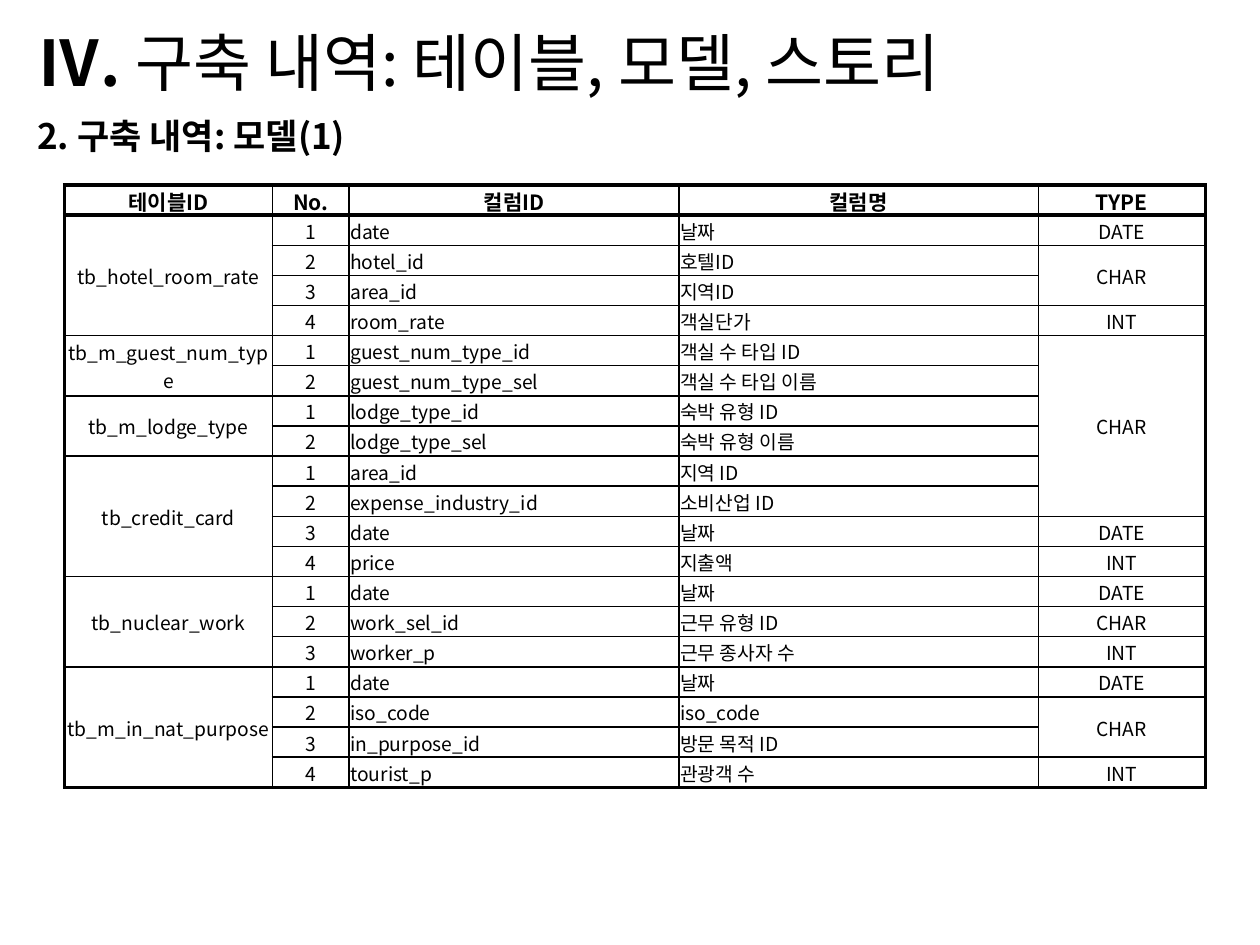
from itertools import groupby

from lxml import etree
from pptx import Presentation
from pptx.dml.color import RGBColor
from pptx.enum.text import MSO_ANCHOR, PP_ALIGN
from pptx.oxml.ns import qn
from pptx.util import Cm, Pt

LEFT, CENTER = PP_ALIGN.LEFT, PP_ALIGN.CENTER
MIDDLE = MSO_ANCHOR.MIDDLE
FONT = "Noto Sans CJK KR"
COLORS = {"ink": "000000", "paper": "FFFFFF"}
THIN, THICK = 1, 2.25

HEADERS = ["테이블ID", "No.", "컬럼ID", "컬럼명", "TYPE"]
COLUMN_WIDTHS = [4.19, 1.55, 6.65, 7.24, 3.37]
ALIGNMENTS = [CENTER, CENTER, LEFT, LEFT, CENTER]
MODELS = {
    "tb_hotel_room_rate": [
        ("date", "날짜", "DATE"),
        ("hotel_id", "호텔ID", "CHAR"),
        ("area_id", "지역ID", "CHAR"),
        ("room_rate", "객실단가", "INT"),
    ],
    "tb_m_guest_num_type": [
        ("guest_num_type_id", "객실 수 타입 ID", "CHAR"),
        ("guest_num_type_sel", "객실 수 타입 이름", "CHAR"),
    ],
    "tb_m_lodge_type": [
        ("lodge_type_id", "숙박 유형 ID", "CHAR"),
        ("lodge_type_sel", "숙박 유형 이름", "CHAR"),
    ],
    "tb_credit_card": [
        ("area_id", "지역 ID", "CHAR"),
        ("expense_industry_id", "소비산업 ID", "CHAR"),
        ("date", "날짜", "DATE"),
        ("price", "지출액", "INT"),
    ],
    "tb_nuclear_work": [
        ("date", "날짜", "DATE"),
        ("work_sel_id", "근무 유형 ID", "CHAR"),
        ("worker_p", "근무 종사자 수", "INT"),
    ],
    "tb_m_in_nat_purpose": [
        ("date", "날짜", "DATE"),
        ("iso_code", "iso_code", "CHAR"),
        ("in_purpose_id", "방문 목적 ID", "CHAR"),
        ("tourist_p", "관광객 수", "INT"),
    ],
}


class ModelPage:
    def __init__(self, deck):
        self.page = deck.slides.add_slide(deck.slide_layouts[5])

    def add_span(self, para, text, size, bold=False):
        span = para.add_run()
        span.text = text
        span.font.size = Pt(size)
        span.font.bold = bold
        span.font.color.rgb = RGBColor.from_string(COLORS["ink"])
        span.font.name = FONT
        etree.SubElement(span.font._element, qn("a:ea"), typeface=FONT)

    def fill_box(self, box, spans, size):
        frame = box.text_frame
        frame.word_wrap = True
        frame.vertical_anchor = MIDDLE
        para = frame.paragraphs[0]
        para.alignment = LEFT
        for text, bold in spans:
            self.add_span(para, text, size, bold)

    def title(self, spans, left, top, width, height):
        box = self.page.shapes.title
        box.left, box.top = Cm(left), Cm(top)
        box.width, box.height = Cm(width), Cm(height)
        self.fill_box(box, spans, 36)

    def heading(self, text, left, top, width, height):
        box = self.page.shapes.add_textbox(Cm(left), Cm(top), Cm(width), Cm(height))
        self.fill_box(box, [(text, True)], 20)

    def border(self, cell, side, weight):
        line = etree.SubElement(
            cell._tc.get_or_add_tcPr(), qn(f"a:ln{side}"), w=str(Pt(weight))
        )
        fill = etree.SubElement(line, qn("a:solidFill"))
        etree.SubElement(fill, qn("a:srgbClr"), val=COLORS["ink"])

    def style_cell(self, table, row, column):
        cell = table.cell(row, column)
        end = row + (cell.span_height if cell.is_merge_origin else 1)
        last_row, last_column = len(table.rows), len(table.columns) - 1
        for side, strong in (
            ("L", column == 0),
            ("R", column == last_column),
            ("T", row in (0, 1)),
            ("B", end in (1, last_row)),
        ):
            self.border(cell, side, THICK if strong else THIN)
        cell.fill.solid()
        cell.fill.fore_color.rgb = RGBColor.from_string(COLORS["paper"])
        cell.vertical_anchor = MIDDLE
        cell.margin_left = cell.margin_right = cell.margin_top = Cm(0.02)
        cell.margin_bottom = 0

    def merge_repeats(self, table, rows, column):
        start = 0
        for _, group in groupby(rows, key=lambda values: values[column]):
            count = len(list(group))
            if count > 1:
                table.cell(start, column).merge(table.cell(start + count - 1, column))
            start += count

    def table(self, rows, left, top, height):
        frame = self.page.shapes.add_table(
            len(rows), len(HEADERS), Cm(left), Cm(top),
            Cm(sum(COLUMN_WIDTHS)), Cm(height),
        )
        table = frame.table
        table.first_row = table.horz_banding = False
        for column, width in zip(table.columns, COLUMN_WIDTHS):
            column.width = Cm(width)
        for column in (0, len(HEADERS) - 1):
            self.merge_repeats(table, rows, column)
        for row, values in enumerate(rows):
            for column, text in enumerate(values):
                self.style_cell(table, row, column)
                cell = table.cell(row, column)
                if cell.is_spanned:
                    continue
                para = cell.text_frame.paragraphs[0]
                para.alignment = CENTER if row == 0 else ALIGNMENTS[column]
                self.add_span(para, text, 12 if row == 0 else 11, row == 0)


def main():
    deck = Presentation()
    deck.slide_width, deck.slide_height = Cm(25.4), Cm(19.05)
    rows = [HEADERS] + [
        [model, str(number), *fields]
        for model, columns in MODELS.items()
        for number, fields in enumerate(columns, 1)
    ]
    page = ModelPage(deck)
    page.heading("2. 구축 내역: 모델(1)", 0.5, 2.18, 12.6, 1.11)
    page.table(rows, 1.3, 3.73, 12.14)
    page.title(
        [("Ⅳ. ", True), ("구축 내역: 테이블, 모델, 스토리", False)],
        0.5, 0.33, 22.2, 1.8,
    )
    deck.save("out.pptx")


if __name__ == "__main__":
    main()
